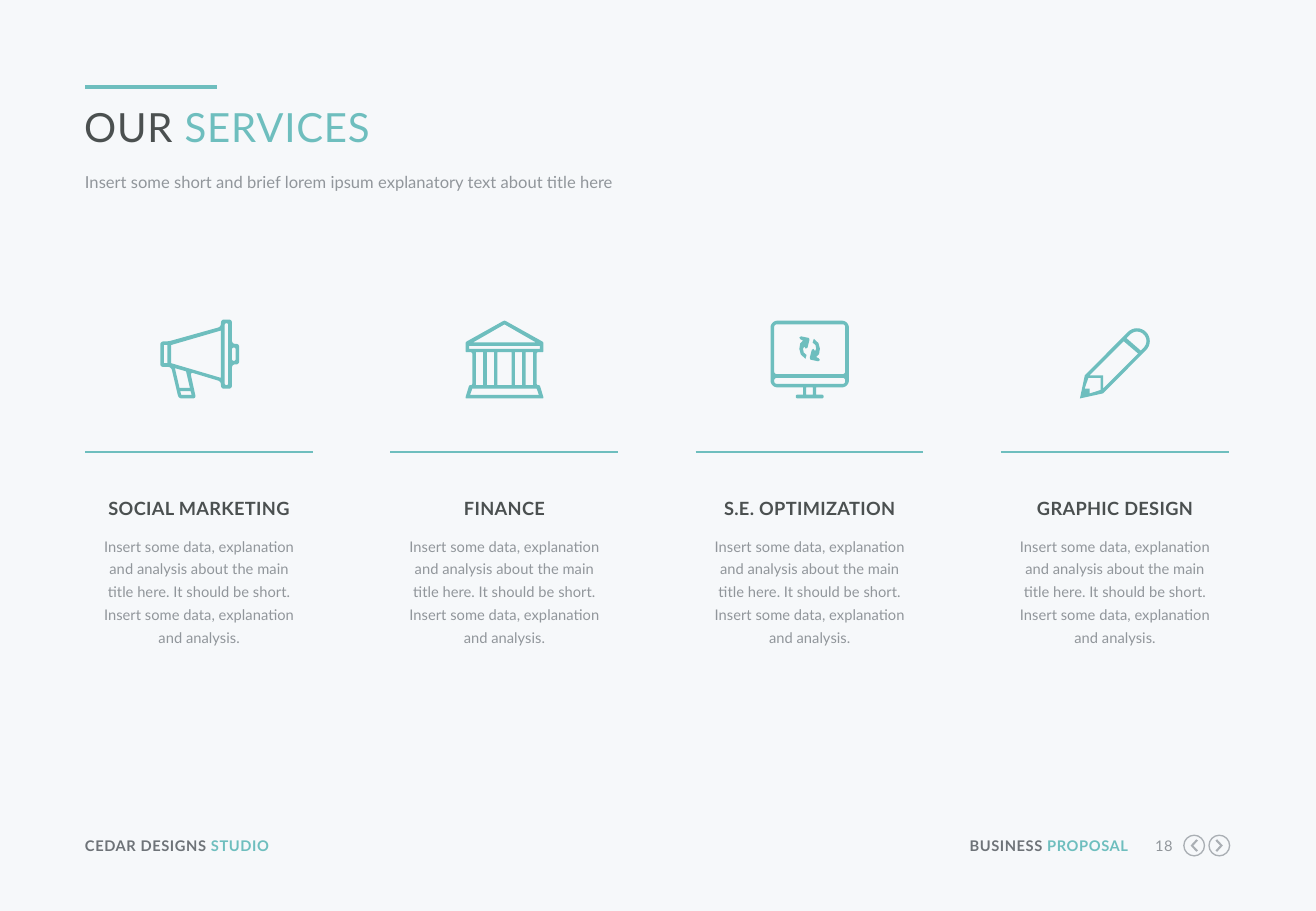
import math
from dataclasses import dataclass
from typing import NamedTuple

from lxml import etree
from pptx import Presentation
from pptx import util as u
from pptx.dml.color import RGBColor
from pptx.enum import shapes, text
from pptx.oxml.ns import qn

TEAL = RGBColor(0x6E, 0xBE, 0xBE)
DARK = RGBColor(0x4B, 0x50, 0x50)
SLATE = RGBColor(0x6E, 0x73, 0x78)
GREY = RGBColor(0x91, 0x96, 0x9B)
SILVER = RGBColor(0xAA, 0xAF, 0xB4)
PAPER = RGBColor(0xF6, 0xF8, 0xFA)
FONT = "Lato"

Points = list[tuple[float, float]]
MARGIN, COLUMN_WIDTH, COLUMN_PITCH = 50.4, 135, 180.96
ICON_TOP, ICON_INSET = 189.4, 44.4
DESCRIPTION = ("Insert some data, explanation and analysis about the main title here. "
               "It should be short. Insert some data, explanation and analysis.")


class Span(NamedTuple):
    words: str
    size: float
    color: RGBColor
    bold: bool = False
    tracking: float = 0


@dataclass
class Label:
    left: float
    top: float
    width: float
    height: float
    spans: list[Span]
    align: text.PP_ALIGN = text.PP_ALIGN.LEFT
    line_spacing: float | u.Pt | None = None
    space_after: float = 0


@dataclass
class Service:
    name: str
    icon: list[Points]


# Outline helpers: points are relative to the top left of the icon
def arc(x: float, y: float, radius: float, start: int, end: int) -> Points:
    angles = [math.radians(start + (end - start) * step / 16) for step in range(17)]
    return [(x + radius * math.cos(a), y + radius * math.sin(a)) for a in angles]


def rounded(corners: Points, radius: float) -> Points:
    outline = []
    for i, corner in enumerate(corners):
        ends = []
        for other in (corners[i - 1], corners[(i + 1) % len(corners)]):
            cut = min(radius / math.dist(corner, other), 0.5)
            ends.append([c + (o - c) * cut for c, o in zip(corner, other)])
        for t in (step / 6 for step in range(7)):
            weights = (1 - t) ** 3, 3 * t * (1 - t) ** 2, 3 * t ** 2 * (1 - t), t ** 3
            a, b, c, d = weights
            x, y = (p * (a + 0.45 * b) + k * 0.55 * (b + c) + q * (0.45 * c + d)
                    for p, k, q in zip(ends[0], corner, ends[1]))
            outline.append((x, y))
    return outline


def rect(left: float, top: float, right: float, bottom: float, radius: float = 0) -> Points:
    corners = [(left, top), (right, top), (right, bottom), (left, bottom)]
    return rounded(corners, radius) if radius else corners


# Drawing functions
def draw_icon(page, left: float, top: float, contours: list[Points], color: RGBColor) -> None:
    placed = [[(u.Pt(left + x), u.Pt(top + y)) for x, y in outline] for outline in contours]
    builder = page.shapes.build_freeform(*placed[0][0], scale=1.0)
    for i, outline in enumerate(placed):
        if i:
            builder.move_to(*outline[0])
        builder.add_line_segments(outline[1:], close=True)
    shape = builder.convert_to_shape()
    shape.shadow.inherit = False
    shape.fill.solid()
    shape.fill.fore_color.rgb = color
    shape.line.fill.background()


def draw_rule(page, left: float, top: float, width: float, weight: float) -> None:
    rule = page.shapes.add_connector(shapes.MSO_CONNECTOR.STRAIGHT, u.Pt(left), u.Pt(top),
                                     u.Pt(left + width), u.Pt(top))
    rule.line.color.rgb = TEAL
    rule.line.width = u.Pt(weight)
    etree.SubElement(rule._element.spPr, qn("a:effectLst"))


def write_label(box, label: Label) -> None:
    box.left, box.top = u.Pt(label.left), u.Pt(label.top)
    box.width, box.height = u.Pt(label.width), u.Pt(label.height)
    frame = box.text_frame
    frame.margin_left = frame.margin_top = frame.margin_right = frame.margin_bottom = 0
    frame.word_wrap = True
    frame.auto_size = text.MSO_AUTO_SIZE.NONE
    frame.vertical_anchor = text.MSO_ANCHOR.TOP
    para = frame.paragraphs[0]
    para.alignment = label.align
    para.space_before, para.space_after = u.Pt(0), u.Pt(label.space_after)
    if label.line_spacing:
        para.line_spacing = label.line_spacing
    for item in label.spans:
        span = para.add_run()
        span.text = item.words
        span.font.name, span.font.size = FONT, u.Pt(item.size)
        span.font.bold = item.bold
        span.font.color.rgb = item.color
        span._r.get_or_add_rPr().set("spc", str(round(item.tracking * 100)))


def draw_label(parent, label: Label) -> None:
    write_label(parent.shapes.add_textbox(0, 0, 0, 0), label)


# Icon outlines
MEGAPHONE = [
    rounded([(0.2, 13), (5, 13), (36.2, 4.3), (36.2, 0), (42.7, 0), (42.7, 14.4), (47, 14.4),
             (47, 26.6), (42.7, 26.6), (42.7, 41), (36.2, 41), (36.2, 36.7), (18, 31.2),
             (21.4, 46.8), (11.1, 46.8), (6.7, 28.1), (0.2, 28.1)], 1.8),
    rect(2.4, 15.1, 4.5, 25.9),
    [(12.1, 42.5), (18.2, 42.5), (18.8, 44.6), (12.6, 44.6)],
    [(8.9, 28.8), (15.5, 30.7), (17.8, 40.5), (11.6, 40.5)],
    [(6.7, 15.1), (36.2, 6.5), (36.2, 34.6), (6.7, 25.9)],
    rect(38.4, 2.2, 40.5, 38.9, 1),
    rect(42.7, 16.6, 44.9, 24.5, 1),
]
BANK = [
    rounded([(23.3, 0.5), (46.4, 13.4), (46.4, 19.4), (42.4, 19.4), (42.4, 38.9), (44.2, 38.9),
             (46.6, 46.8), (0, 46.8), (2.4, 38.9), (4.2, 38.9), (4.2, 19.4), (0.2, 19.4),
             (0.2, 13.4)], 0.8),
    [(23.3, 2.9), (41.8, 13.5), (4.8, 13.5)],
    rect(2.3, 15.7, 44.3, 17.4),
    [(4.2, 41), (42.4, 41), (43.7, 44.7), (2.9, 44.7)],
    *[rect(left, 19.4, right, 38.9) for left, right in
      ((6.4, 10.7), (12.9, 17.2), (19.1, 27.5), (29.4, 33.7), (35.9, 40.2))],
]
ARROW = [(28.6, 23), (27.1, 22.3), (28.8, 20.5), (29.3, 17.3), (28.4, 14), (25.7, 11.5),
         (25, 13.7), (26.7, 15.2), (27.1, 17.3), (25.7, 20.5), (26.4, 18.7), (25.5, 17.5),
         (24.5, 18), (23.3, 22.6), (23.6, 23.8), (28.2, 24.8), (29.3, 24.1)]
MONITOR = [
    rect(0, 0.7, 46.5, 40.3, 4.2),
    rect(2.2, 2.9, 44.3, 32.4, 1.5),
    rect(2.2, 34.6, 44.3, 38.2, 1.5),
    rect(19.3, 40.3, 21.2, 44.6),
    rect(25.2, 40.3, 27.1, 44.6),
    rect(15, 44.6, 31.5, 46.8, 1),
    ARROW,
    [(46.4 - x, 34.8 - y) for x, y in ARROW],
]
PENCIL = [
    [(2.4, 46.8), (5.3, 33.1), *arc(36.2, 12.8, 7.6, -135, 45), (16.1, 43.8)],
    [(7.4, 34.6), (14.6, 34.6), (14.6, 41.8), (8.1, 43.9), (8.1, 41), (5.2, 41)],
    [(8.1, 33.1), (28.3, 12.9), (36.9, 20.2), (16.1, 41), (16.1, 33.1)],
    [(30, 11.1), *arc(36.2, 12.8, 5.6, -135, 45), (38.5, 18.5)],
]
CHEVRON = [(4.2, 3.6), (7, 6.5), (4.2, 9.4), (5.2, 10.2), (8.6, 6.5), (5.2, 2.8)]
RING = [arc(6.5, 6.5, 6.5, 0, 360), arc(6.5, 6.5, 5.7, 0, 360)]
SERVICES = [Service("SOCIAL MARKETING", MEGAPHONE), Service("FINANCE", BANK),
            Service("S.E. OPTIMIZATION", MONITOR), Service("GRAPHIC DESIGN", PENCIL)]


def main() -> None:
    deck = Presentation()
    deck.slide_width, deck.slide_height = u.Pt(780), u.Pt(540)
    page = deck.slides.add_slide(deck.slide_layouts[5])
    page.background.fill.solid()
    page.background.fill.fore_color.rgb = PAPER

    # Heading
    draw_rule(page, MARGIN, 51.6, 78.5, 2.25)
    write_label(page.shapes.title, Label(49.9, 60.5, 678, 29.5, [
        Span("OUR ", 23.8, DARK, tracking=0.5), Span("SERVICES", 23.8, TEAL, tracking=0.5)]))
    draw_label(page, Label(MARGIN, 100.8, 678, 15.1, [Span(
        "Insert some short and brief lorem ipsum explanatory text about title here", 9.8, GREY)],
        line_spacing=u.Pt(13)))

    # Service columns
    for i, service in enumerate(SERVICES):
        left = MARGIN + i * COLUMN_PITCH
        draw_icon(page, left + ICON_INSET, ICON_TOP, service.icon, TEAL)
        draw_rule(page, left, 267.8, COLUMN_WIDTH, 1)
        group = page.shapes.add_group_shape()
        draw_label(group, Label(left + 7.9, 315.4, 119.5, 68.4, [Span(DESCRIPTION, 8.7, GREY)],
                                text.PP_ALIGN.CENTER, 1.3, 6.5))
        draw_label(group, Label(left + 7.9, 294.5, 119.5, 13,
                                [Span(service.name, 10.8, DARK, True, 0.2)],
                                text.PP_ALIGN.CENTER))

    # Footer
    for left, width, words, accent, align in (
            (MARGIN, 152, "CEDAR DESIGNS ", "STUDIO", text.PP_ALIGN.LEFT),
            (570.2, 98.6, "BUSINESS ", "PROPOSAL", text.PP_ALIGN.RIGHT)):
        draw_label(page, Label(left, 496, width, 10.8, [
            Span(words, 8.7, SLATE, True, 0.3), Span(accent, 8.7, TEAL, True, 0.3)], align))
    draw_label(page, Label(677.5, 496, 17.6, 10.8, [Span("18", 8.7, GREY, tracking=0.3)],
                           text.PP_ALIGN.RIGHT))
    draw_icon(page, 716.2, 494.7, [*RING, CHEVRON], SILVER)
    draw_icon(page, 701.3, 494.7, [*RING, [(13 - x, y) for x, y in CHEVRON]], SILVER)

    deck.save("out.pptx")


if __name__ == "__main__":
    main()
